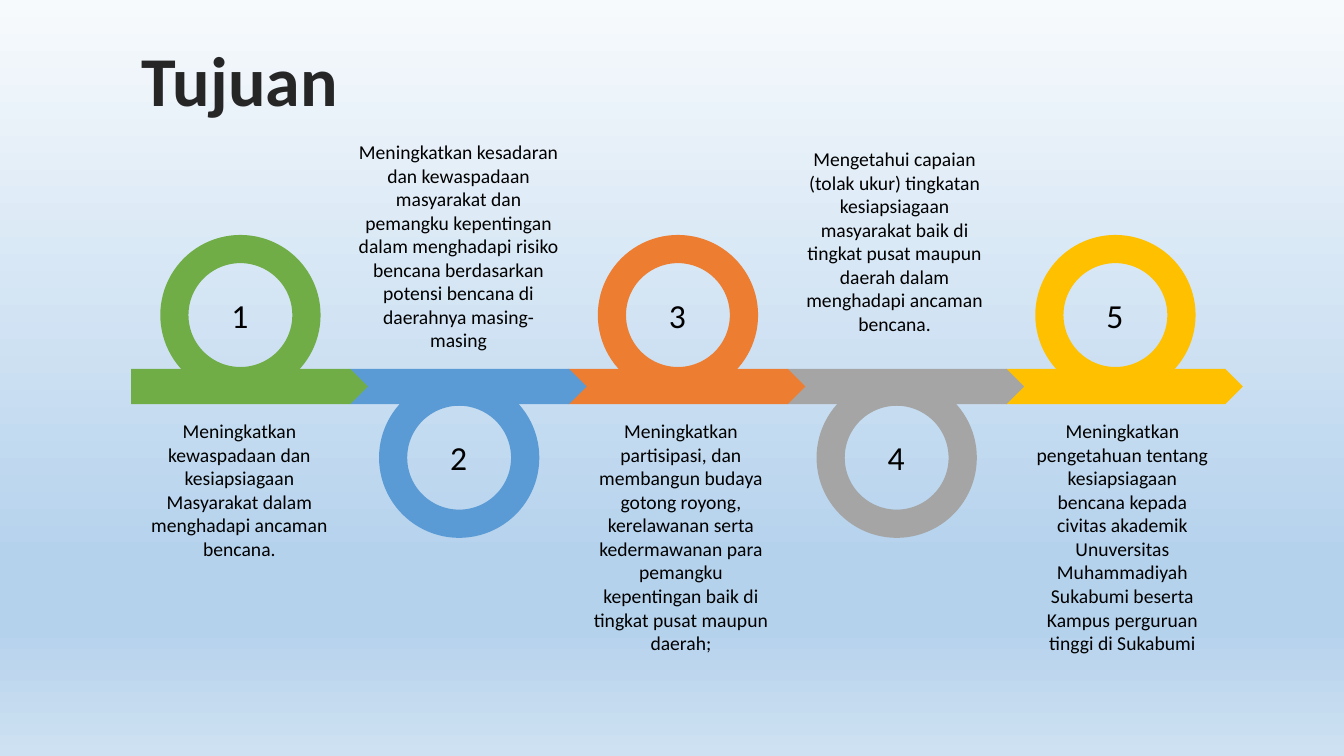
from lxml.etree import SubElement
from pptx import Presentation
from pptx.dml.color import RGBColor
from pptx.enum.shapes import MSO_SHAPE
from pptx.enum.text import MSO_ANCHOR, MSO_AUTO_SIZE, PP_ALIGN
from pptx.oxml.ns import qn
from pptx.util import Pt

HUES = {
    "green": "70AD47", "blue": "5B9BD5", "orange": "ED7D31",
    "gray": "A5A5A5", "gold": "FFC000", "black": "000000", "title": "262626",
}
SKY = [(0, "F7FAFD"), (74, "B5D2EC"), (83, "B5D2EC"), (100, "CEE1F2")]
GOALS = [
    ("green", 100.8, 295.9, 140.4, 126,
     "Meningkatkan kewaspadaan dan kesiapsiagaan Masyarakat dalam menghadapi ancaman bencana."),
    ("blue", 248.4, 96.5, 158.4, 160,
     "Meningkatkan kesadaran dan kewaspadaan masyarakat dan pemangku kepentingan dalam "
     "menghadapi risiko bencana berdasarkan potensi bencana di daerahnya masing-masing"),
    ("orange", 416.2, 295.9, 140.4, 177,
     "Meningkatkan partisipasi, dan membangun budaya gotong royong, kerelawanan serta "
     "kedermawanan para pemangku kepentingan baik di tingkat pusat maupun daerah;"),
    ("gray", 568.8, 101.5, 140.4, 143,
     "Mengetahui capaian (tolak ukur) tingkatan kesiapsiagaan masyarakat baik di tingkat "
     "pusat maupun daerah dalam menghadapi ancaman bencana."),
    ("gold", 731.5, 295.9, 140.4, 177,
     "Meningkatkan pengetahuan tentang kesiapsiagaan bencana kepada civitas akademik "
     "Unuversitas Muhammadiyah Sukabumi beserta Kampus perguruan tinggi di Sukabumi"),
]


class Board:
    def __init__(self, deck, font):
        self.font = font
        self.page = deck.slides.add_slide(deck.slide_layouts[5])

    def sky(self, stops):
        fill = self.page.background.fill
        fill.gradient()
        fill.gradient_angle = 270
        ramp = self.page.element.find(".//" + qn("a:gsLst"))
        ramp.clear()
        for pos, tint in stops:
            stop = SubElement(ramp, qn("a:gs"), pos=str(pos * 1000))
            SubElement(stop, qn("a:srgbClr"), val=tint)

    def put(self, frame, text, size, hue="black", bold=False):
        frame.text = text
        line = frame.paragraphs[0]
        line.alignment = PP_ALIGN.CENTER
        font = line.runs[0].font
        font.name, font.size, font.bold = self.font, Pt(size), bold
        font.color.rgb = RGBColor.from_string(HUES[hue])
        return line

    def title(self, text, x, y, w, h):
        head = self.page.shapes.title
        head.left, head.top, head.width, head.height = Pt(x), Pt(y), Pt(w), Pt(h)
        frame = head.text_frame
        frame.auto_size = MSO_AUTO_SIZE.NONE
        frame.vertical_anchor = MSO_ANCHOR.MIDDLE
        self.put(frame, text, 50, "title", True).line_spacing = 0.8

    def shape(self, kind, x, y, w, h, hue=None):
        item = self.page.shapes.add_shape(kind, Pt(x), Pt(y), Pt(w), Pt(h))
        item.shadow.inherit = False
        item.line.fill.background()
        if hue:
            item.fill.solid()
            item.fill.fore_color.rgb = RGBColor.from_string(HUES[hue])
        else:
            item.fill.background()
        return item

    def loop(self, x, y, hue):
        band = self.shape(MSO_SHAPE.PENTAGON, x, 263.5, 169.2, 25.2, hue)
        ring = self.shape(MSO_SHAPE.DONUT, x + 20.9, y, 114.5, 114.5, hue)
        ring.adjustments[0] = 0.176
        self.page.shapes.add_group_shape([band, ring])

    def label(self, text, x, y):
        frame = self.shape(MSO_SHAPE.OVAL, x, y, 36.6, 39).text_frame
        frame.word_wrap = False
        frame.vertical_anchor = MSO_ANCHOR.MIDDLE
        self.put(frame, text, 24)

    def note(self, text, x, y, w, h):
        box = self.page.shapes.add_textbox(Pt(x), Pt(y), Pt(w), Pt(h))
        box.text_frame.word_wrap = True
        self.put(box.text_frame, text, 14)


def main():
    deck = Presentation()
    deck.slide_width, deck.slide_height = Pt(960), Pt(540)
    board = Board(deck, "Calibri")
    board.sky(SKY)
    board.title("Tujuan", 31, 33.1, 280.8, 56.9)
    spots = [(93.6 + 156.25 * i, 269.7 if i % 2 else 167.8) for i in range(len(GOALS))]
    for (x, y), goal in reversed(list(zip(spots, GOALS))):
        board.loop(x, y, goal[0])
    for num, ((x, y), goal) in enumerate(zip(spots, GOALS), 1):
        hue, left, top, wide, high, text = goal
        board.note(text, left, top, wide, high)
        board.label(str(num), x + 59.5, y + 37.5)
    deck.save("out.pptx")


if __name__ == "__main__":
    main()
